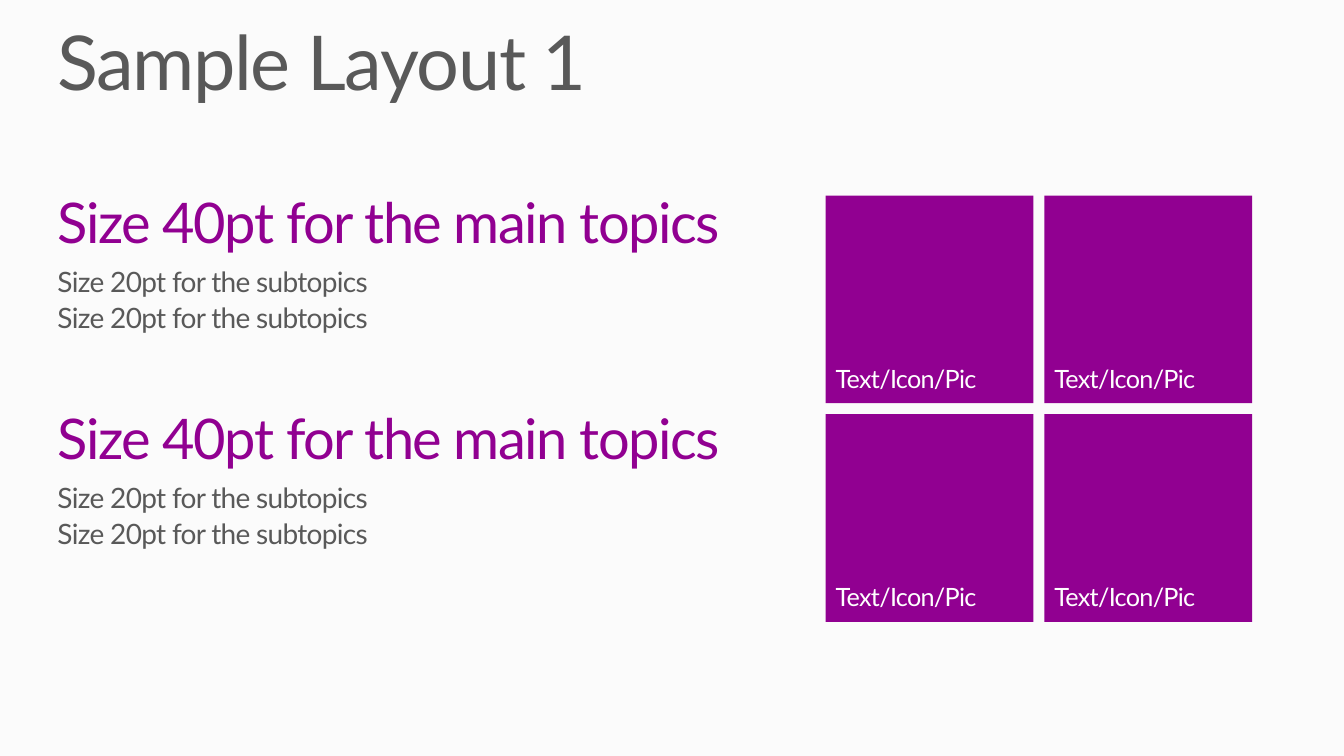
from dataclasses import dataclass

from pptx import Presentation
from pptx.dml.color import RGBColor
from pptx.enum.shapes import MSO_SHAPE
from pptx.enum.text import MSO_ANCHOR, PP_ALIGN
from pptx.util import Inches, Pt


@dataclass(frozen=True)
class Theme:
    font: str = "Lato"
    background: RGBColor = RGBColor(0xFB, 0xFB, 0xFB)
    gray: RGBColor = RGBColor(0x59, 0x59, 0x59)
    purple: RGBColor = RGBColor(0x91, 0x00, 0x91)
    white: RGBColor = RGBColor(0xFF, 0xFF, 0xFF)
    title_size: int = 54
    topic_size: int = 40
    subtopic_size: int = 20
    tile_size: int = 18


class LayoutSlide:
    def __init__(self, presentation, theme):
        self.theme = theme
        self.slide = presentation.slides.add_slide(presentation.slide_layouts[6])
        fill = self.slide.background.fill
        fill.solid()
        fill.fore_color.rgb = theme.background

    def style(self, paragraph, size, color, tracking):
        """Format every run; tracking is the letter spacing in points."""
        paragraph.alignment = PP_ALIGN.LEFT
        for run in paragraph.runs:
            run.font.name = self.theme.font
            run.font.size = Pt(size)
            run.font.color.rgb = color
            run.font._element.set("spc", str(round(tracking * 100)))

    def text_box(self, left, top, width, height):
        """Add a wrapping text box without margins and return its text frame."""
        box = self.slide.shapes.add_textbox(
            Inches(left), Inches(top), Inches(width), Inches(height))
        frame = box.text_frame
        frame.word_wrap = True
        frame.margin_left = frame.margin_right = 0
        frame.margin_top = frame.margin_bottom = 0
        return frame

    def title(self, text, left, top, width, height):
        frame = self.text_box(left, top, width, height)
        frame.text = text
        paragraph = frame.paragraphs[0]
        paragraph.line_spacing = 0.9
        self.style(paragraph, self.theme.title_size, self.theme.gray, -1)

    def topics(self, topics, left, top, width, height):
        """Add one text box of (topic, subtopics) groups."""
        theme = self.theme
        frame = self.text_box(left, top, width, height)
        frame.text = "\n".join(
            line for topic, subtopics in topics for line in (topic, *subtopics))
        paragraphs = iter(frame.paragraphs)
        for index, (_, subtopics) in enumerate(topics):
            heading = next(paragraphs)
            heading.line_spacing = 0.9
            heading.space_before = Pt(50.5 if index else 0)
            heading.space_after = Pt(9)
            self.style(heading, theme.topic_size, theme.purple, -1)
            for _ in subtopics:
                paragraph = next(paragraphs)
                paragraph.level = 1
                properties = paragraph._p.get_or_add_pPr()
                properties.set("marL", "0")
                properties.set("indent", "0")
                paragraph.line_spacing = 0.9
                paragraph.space_after = Pt(4)
                self.style(paragraph, theme.subtopic_size, theme.gray, -0.5)

    def tile(self, text, left, top, side):
        shape = self.slide.shapes.add_shape(
            MSO_SHAPE.RECTANGLE, Inches(left), Inches(top), Inches(side), Inches(side))
        shape.shadow.inherit = False
        shape.fill.solid()
        shape.fill.fore_color.rgb = self.theme.purple
        shape.line.fill.background()
        frame = shape.text_frame
        frame.word_wrap = True
        frame.vertical_anchor = MSO_ANCHOR.BOTTOM
        frame.margin_left = frame.margin_bottom = Inches(0.1)
        frame.margin_top = frame.margin_right = Inches(0.05)
        frame.text = text
        self.style(frame.paragraphs[0], self.theme.tile_size, self.theme.white, -0.5)


def main():
    presentation = Presentation()
    presentation.slide_width = Inches(13.33)
    presentation.slide_height = Inches(7.5)
    slide = LayoutSlide(presentation, Theme())

    slide.title("Sample Layout 1", 0.57, 0.25, 12.19, 0.73)
    topic = ("Size 40pt for the main topics", ["Size 20pt for the subtopics"] * 2)
    slide.topics([topic] * 2, 0.57, 1.94, 12.19, 3.56)

    tile_side, tile_pitch = 2.06, 2.17
    for row in range(2):
        for column in range(2):
            slide.tile("Text/Icon/Pic", 8.19 + column * tile_pitch,
                       1.94 + row * tile_pitch, tile_side)

    presentation.save("out.pptx")


if __name__ == "__main__":
    main()
